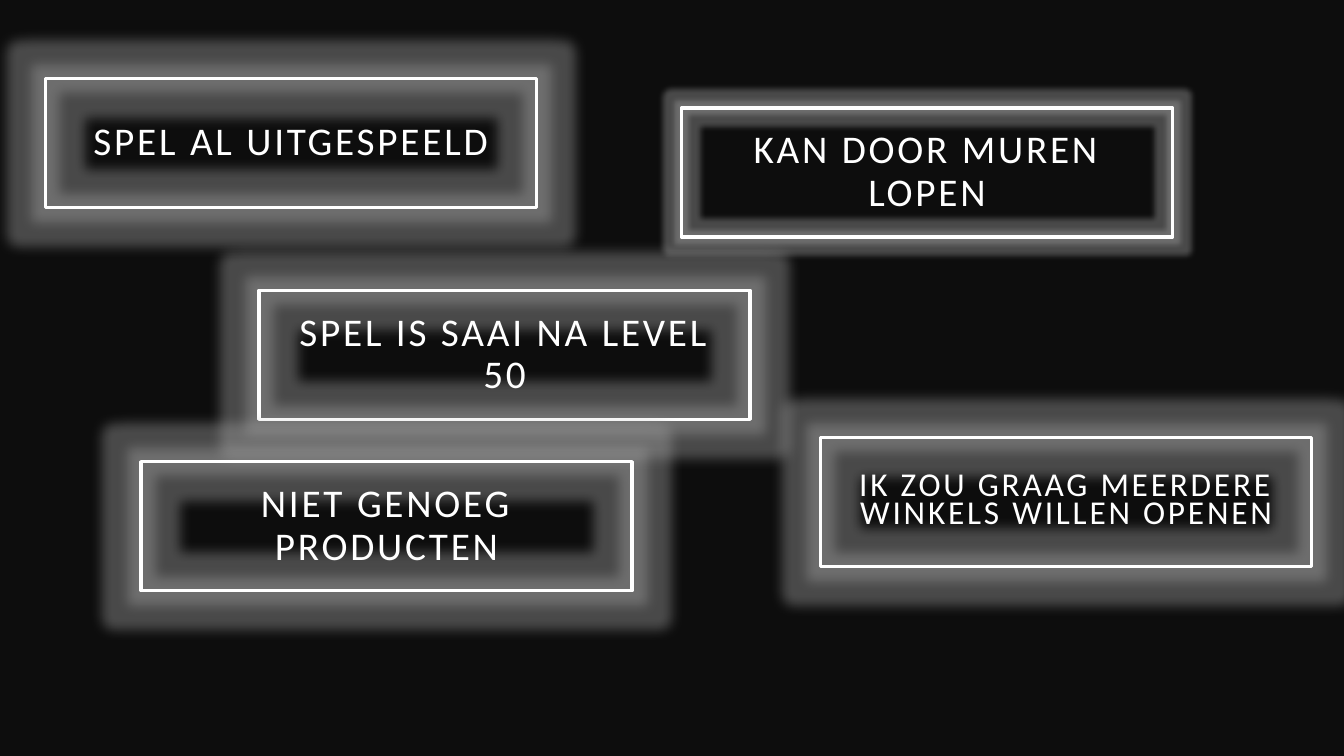
from dataclasses import dataclass

from lxml import etree
from pptx import Presentation
from pptx import util as u
from pptx.dml.color import RGBColor
from pptx.enum import shapes, text
from pptx.oxml import ns

WIDTH, HEIGHT = u.Inches(4.87), u.Inches(1.28)
INSET = u.Inches(0.2)
BACKGROUND, WHITE, GLOW = "0D0D0D", "FFFFFF", "A5A5A5"


@dataclass
class Complaint:
    label: str
    left: float
    top: float
    size: float = 28
    line_spacing: float = 0.9
    glow: float = 18


COMPLAINTS = [
    Complaint("KAN DOOR MUREN LOPEN", 6.76, 1.07, glow=8),
    Complaint("SPEL IS SAAI NA LEVEL 50", 2.57, 2.88),
    Complaint("IK ZOU GRAAG MEERDERE WINKELS WILLEN OPENEN", 8.14, 4.34,
              size=23.8, line_spacing=0.7),
    Complaint("SPEL AL UITGESPEELD", 0.45, 0.78),
    Complaint("NIET GENOEG PRODUCTEN", 1.4, 4.58),
]


def rgb(value: str) -> RGBColor:
    return RGBColor.from_string(value)


def add_glow(sp, points: float) -> None:
    sp.shadow.inherit = False
    effects = sp._element.spPr.find(ns.qn("a:effectLst"))
    glow = etree.SubElement(effects, ns.qn("a:glow"), rad=str(u.Pt(points)))
    color = etree.SubElement(glow, ns.qn("a:srgbClr"), val=GLOW)
    etree.SubElement(color, ns.qn("a:alpha"), val="40000")


def add_complaint(s, item: Complaint) -> None:
    sp = s.shapes.add_shape(shapes.MSO_SHAPE.RECTANGLE, u.Inches(item.left),
                            u.Inches(item.top), WIDTH, HEIGHT)
    sp.fill.background()
    sp.line.color.rgb = rgb(WHITE)
    sp.line.width = u.Pt(2.5)
    add_glow(sp, item.glow)

    tf = sp.text_frame
    tf.text = item.label
    tf.word_wrap = True
    tf.vertical_anchor = text.MSO_ANCHOR.MIDDLE
    tf.margin_left = tf.margin_right = tf.margin_top = tf.margin_bottom = INSET
    p = tf.paragraphs[0]
    p.alignment = text.PP_ALIGN.CENTER
    p.line_spacing = item.line_spacing
    r = p.runs[0]
    r.font.name = "Calibri"
    r.font.size = u.Pt(item.size)
    r.font.color.rgb = rgb(WHITE)
    r.font._element.set("spc", "200")


def main() -> None:
    prs = Presentation()
    prs.slide_width, prs.slide_height = u.Inches(13.33), u.Inches(7.5)
    s = prs.slides.add_slide(prs.slide_layouts[6])
    s.background.fill.solid()
    s.background.fill.fore_color.rgb = rgb(BACKGROUND)
    for item in COMPLAINTS:
        add_complaint(s, item)
    prs.save("out.pptx")


if __name__ == "__main__":
    main()
